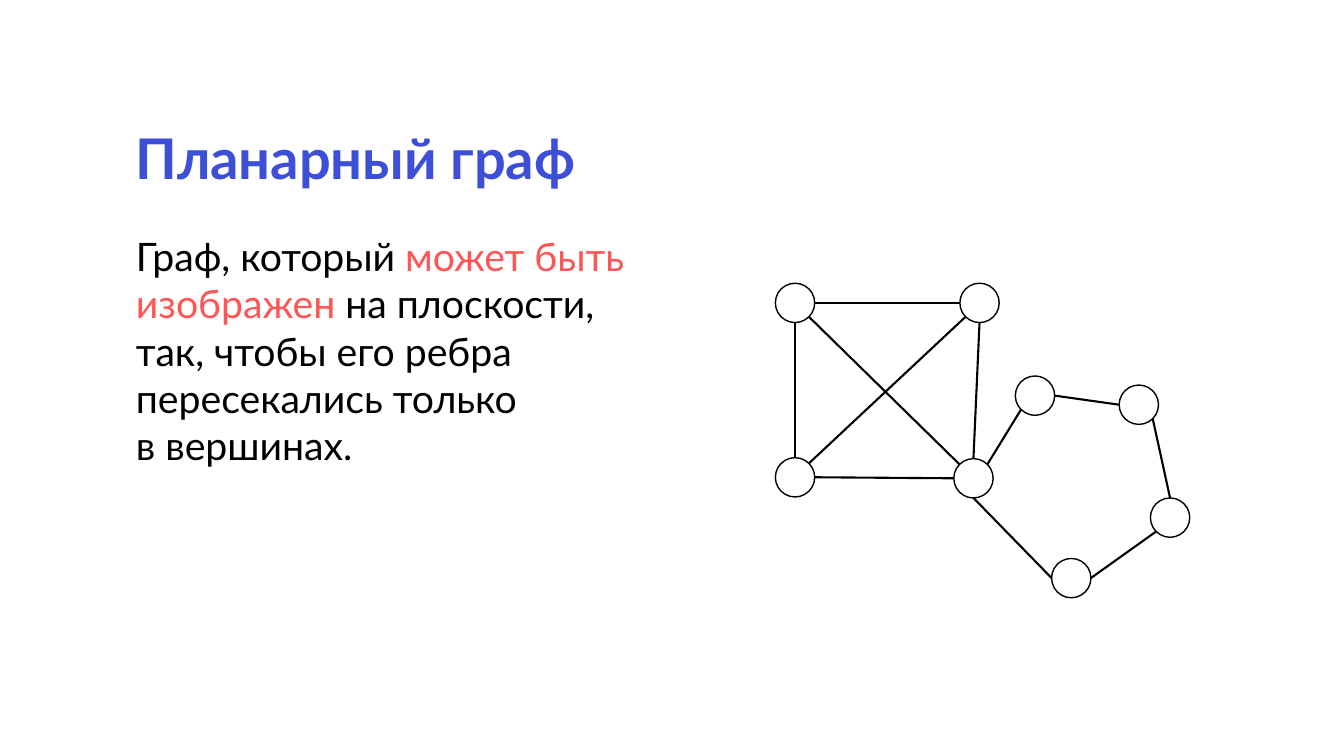
from dataclasses import dataclass
from math import cos, radians, sin

from pptx import Presentation
from pptx import util as u
from pptx.dml.color import RGBColor
from pptx.enum import shapes, text
from pptx.oxml.ns import qn
from lxml import etree

COLORS = {"title": "3D4ED7", "accent": "FF5555", "ink": "000000", "paper": "FFFFFF"}
FONT = "Lato"
DIAMETER = 0.39

# Direction of each attachment point on a vertex, in degrees clockwise from the right
ANGLES = {"right": 0, "bottom right": 45, "bottom": 90, "bottom left": 135,
          "left": 180, "top left": 225, "top": 270, "top right": 315}


@dataclass(frozen=True)
class Vertex:
    left: float
    top: float

    def point(self, side: str) -> tuple[float, float]:
        radius, angle = DIAMETER / 2, radians(ANGLES[side])
        return (self.left + radius * (1 + cos(angle)),
                self.top + radius * (1 + sin(angle)))


@dataclass(frozen=True)
class Edge:
    start: str
    start_side: str
    end: str
    end_side: str


@dataclass(frozen=True)
class Phrase:
    words: str
    color: str
    size: int
    bold: bool = False
    break_before: bool = False


VERTICES = {
    "B": Vertex(9.52, 2.81),
    "C": Vertex(7.69, 4.54),
    "A": Vertex(7.69, 2.81),
    "E": Vertex(10.07, 3.73),
    "F": Vertex(11.1, 3.82),
    "D": Vertex(9.46, 4.55),
    "H": Vertex(10.43, 5.54),
    "G": Vertex(11.41, 4.94),
}

EDGES = [
    # Square with both diagonals
    Edge("A", "right", "B", "left"),
    Edge("A", "bottom", "C", "top"),
    Edge("A", "bottom right", "D", "top left"),
    Edge("B", "bottom", "D", "top"),
    Edge("D", "left", "C", "right"),
    Edge("B", "bottom left", "C", "top right"),
    # Pentagon
    Edge("E", "bottom left", "D", "top right"),
    Edge("F", "left", "E", "right"),
    Edge("F", "bottom right", "G", "top"),
    Edge("G", "bottom left", "H", "right"),
    Edge("H", "left", "D", "bottom"),
]


def rgb(name: str) -> RGBColor:
    return RGBColor.from_string(COLORS[name])


def add_paragraph(slide, left: float, top: float, width: float, height: float,
                  phrases: list[Phrase], line_spacing: float = 1.0) -> None:
    box = slide.shapes.add_textbox(*map(u.Inches, (left, top, width, height)))
    frame = box.text_frame
    frame.word_wrap = True
    frame.vertical_anchor = text.MSO_ANCHOR.TOP
    paragraph = frame.paragraphs[0]
    paragraph.line_spacing = line_spacing
    for phrase in phrases:
        if phrase.break_before:
            paragraph.add_line_break()
        run = paragraph.add_run()
        run.text = phrase.words
        run.font.name = FONT
        run.font.size = u.Pt(phrase.size)
        run.font.bold = phrase.bold
        run.font.color.rgb = rgb(phrase.color)


def add_vertex(slide, vertex: Vertex) -> None:
    circle = slide.shapes.add_shape(
        shapes.MSO_SHAPE.OVAL,
        *map(u.Inches, (vertex.left, vertex.top, DIAMETER, DIAMETER)))
    circle.shadow.inherit = False
    circle.fill.solid()
    circle.fill.fore_color.rgb = rgb("paper")
    circle.line.color.rgb = rgb("ink")
    circle.line.width = u.Pt(1)


def add_edge(slide, edge: Edge) -> None:
    start = VERTICES[edge.start].point(edge.start_side)
    end = VERTICES[edge.end].point(edge.end_side)
    line = slide.shapes.add_connector(
        shapes.MSO_CONNECTOR.STRAIGHT, *map(u.Inches, start + end))
    line.line.color.rgb = rgb("ink")
    line.line.width = u.Pt(1.5)
    etree.SubElement(line._element.spPr, qn("a:effectLst"))


def main() -> None:
    deck = Presentation()
    deck.slide_width, deck.slide_height = u.Inches(13.33), u.Inches(7.5)
    slide = deck.slides.add_slide(deck.slide_layouts[6])

    # Title and definition
    add_paragraph(slide, 1.25, 1.25, 5.42, 0.8,
                  [Phrase("Планарный граф", "title", 40, bold=True)], line_spacing=0.9)
    add_paragraph(slide, 1.25, 2.26, 5.41, 2.46, [
        Phrase("Граф, который ", "ink", 28),
        Phrase("может быть изображен ", "accent", 28),
        Phrase("на плоскости, так, чтобы его ребра пересекались только", "ink", 28),
        Phrase("в вершинах.", "ink", 28, break_before=True),
    ])

    # Graph
    for vertex in VERTICES.values():
        add_vertex(slide, vertex)
    for edge in EDGES:
        add_edge(slide, edge)

    deck.save("out.pptx")


if __name__ == "__main__":
    main()
